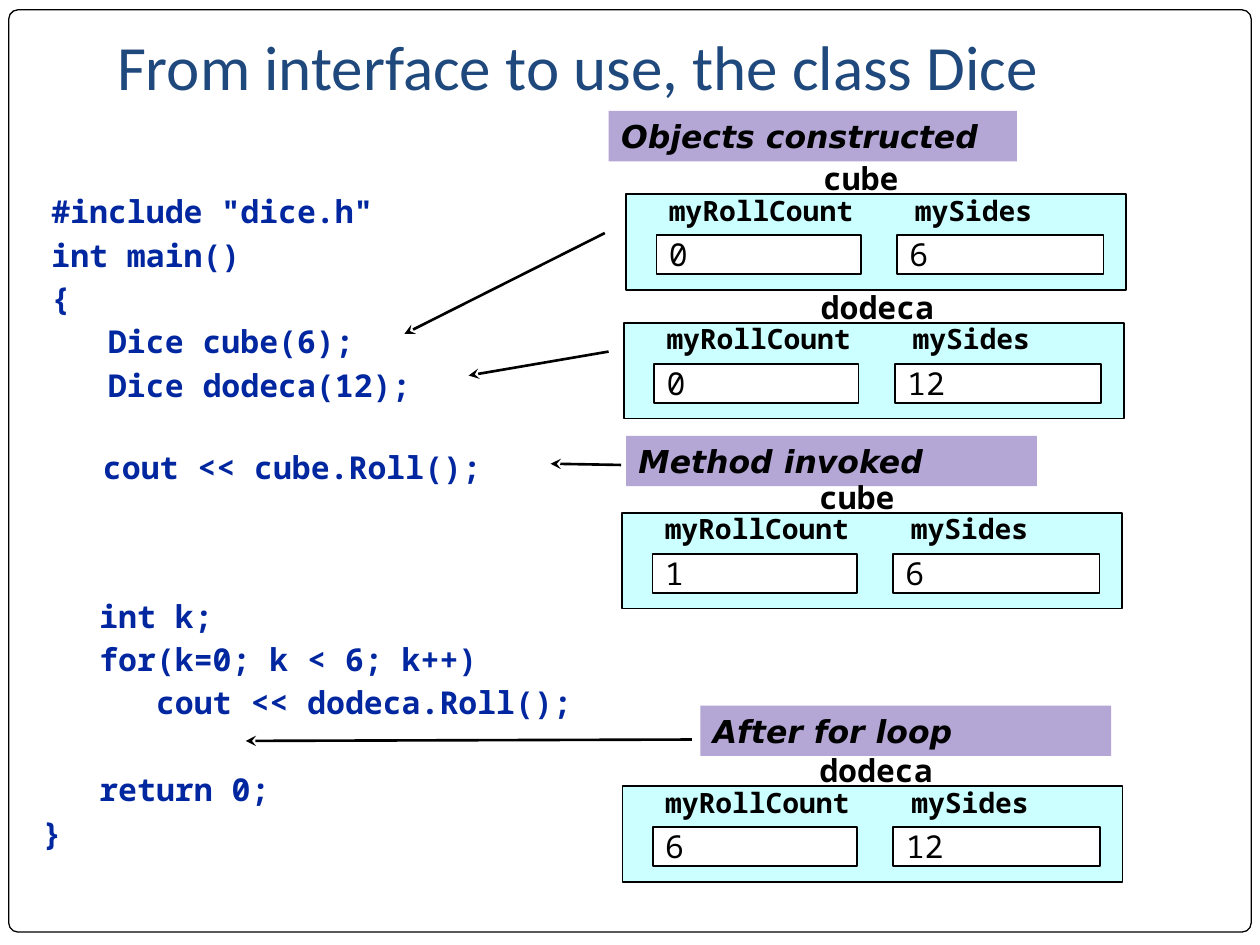
"""Build the slide on using the class Dice."""
from lxml import etree
from pptx import Presentation
from pptx.dml.color import RGBColor
from pptx.enum import shapes, text
from pptx.oxml.ns import qn
from pptx.util import Pt

HUE = {"ink": "000000", "title": "1F497D", "code": "00279F",
       "tag": "B4A7D6", "box": "CCFFFF", "page": "FFFFFF"}
MONO, SANS, HEAD = "Noto Sans Mono", "DejaVu Sans", "Calibri"
CHAR = 10.8
GAP = 24.9

TITLE = "From interface to use, the class Dice"
CODE = [
    ((22.3, 103, 427, 151), [
        (0, 0, '#include "dice.h"'), (0, 0, "int main()"), (0, 0, "{"),
        (3, 0, "Dice cube(6);"), (3, 0, "Dice dodeca(12);")]),
    ((19.4, 249.1, 427, 31), [(3, 0, "cout << cube.Roll();")]),
    ((17.3, 334.1, 427, 183.6), [
        (3, 0, "int k;"), (3, 0, "for(k=0; k < 6; k++)"),
        (6, 0, "cout << dodeca.Roll();"), (3, GAP, "return 0;"), (0, 0, "}")]),
]
STEPS = [
    {"tag": ("Objects constructed", 347.8, 63.4, 233.3),
     "lines": [(345.6, 133.2, 231.1, 190.8), (347.8, 200.9, 267.8, 214.6)],
     "dice": [("cube", 357.8, 110.9, "0", "6"),
              ("dodeca", 356.5, 184.5, "0", "12")]},
    {"tag": ("Method invoked", 357.8, 249.1, 234.7),
     "lines": [(355, 265.7, 314.6, 265)],
     "dice": [("cube", 355.5, 293, "1", "6")]},
    {"tag": ("After for loop", 400.3, 403.2, 234.7),
     "lines": [(395.3, 422.6, 140.4, 423.4)],
     "dice": [("dodeca", 355.7, 449.2, "6", "12")]},
]


def rgb(key):
    return RGBColor.from_string(HUE[key])


def write(shape, rows, size, font, hue="ink", bold=False, ital=False,
          pad=3.6, base=3.6, lead=None, anchor=text.MSO_ANCHOR.TOP):
    frame = shape.text_frame
    frame.word_wrap = True
    frame.vertical_anchor = anchor
    frame.margin_left = frame.margin_right = Pt(7.2)
    frame.margin_top, frame.margin_bottom = Pt(pad), Pt(base)
    for n, (dent, gap, words) in enumerate(rows):
        para = frame.add_paragraph() if n else frame.paragraphs[0]
        para.alignment = text.PP_ALIGN.LEFT
        if lead:
            para.line_spacing = lead
        if gap:
            para.space_before = Pt(gap)
        if dent:
            para._p.get_or_add_pPr().set("marL", str(Pt(dent * CHAR)))
        run = para.add_run()
        run.text = words
        face = run.font
        face.size, face.name = Pt(size), font
        face.bold, face.italic = bold, ital
        face.color.rgb = rgb(hue)


def rect(tree, at, fill, line=None, kind=shapes.MSO_SHAPE.RECTANGLE):
    shape = tree.add_shape(kind, *map(Pt, at))
    shape.shadow.inherit = False
    shape.fill.solid()
    shape.fill.fore_color.rgb = rgb(fill)
    if line:
        shape.line.color.rgb = rgb("ink")
        shape.line.width = Pt(line)
    else:
        shape.line.fill.background()
    return shape


def label(tree, at, rows, size, font, **look):
    write(tree.add_textbox(*map(Pt, at)), rows, size, font, **look)


def arrow(tree, ends):
    line = tree.add_connector(shapes.MSO_CONNECTOR.STRAIGHT, *map(Pt, ends))
    line.line.color.rgb = rgb("ink")
    line.line.width = Pt(1.5)
    etree.SubElement(line.line._get_or_add_ln(), qn("a:tailEnd"), type="stealth")
    etree.SubElement(line._element.spPr, qn("a:effectLst"))


def die(tree, name, x, y, count, sides):
    rect(tree, (x, y, 285.8, 54.7), "box", 1)
    fields = [("myRollCount", count, 17.3, 17.3, 116.8),
              ("mySides", sides, 158, 154.8, 118)]
    for field, value, left, slot, wide in fields:
        cell = rect(tree, (x + slot, y + 23.5, wide, 22.3), "page", 1)
        write(cell, [(0, 0, value)], 18, MONO, pad=0, base=0)
        label(tree, (x + left, y - 4.1, 126.7, 26.6), [(0, 0, field)],
              16, MONO, bold=True)
    label(tree, (x + 105.4, y - 23.4, 107.3, 28.8), [(0, 0, name)],
          18, MONO, bold=True)


def main():
    deck = Presentation()
    deck.slide_width, deck.slide_height = Pt(720), Pt(540)
    slide = deck.slides.add_slide(deck.slide_layouts[6])
    tree = slide.shapes
    frame = rect(tree, (5, 5.6, 710, 527), "page", 0.75,
                 shapes.MSO_SHAPE.ROUNDED_RECTANGLE)
    frame.adjustments[0] = 0.01
    label(tree, (59.8, 18, 612, 48.2), [(0, 0, TITLE)], 36, HEAD,
          hue="title", base=7.2, anchor=text.MSO_ANCHOR.BOTTOM)
    for at, rows in CODE:
        label(tree, at, rows, 18, MONO, hue="code", bold=True, lead=1.15)
    for step in STEPS:
        group = tree.add_group_shape().shapes
        words, x, y, wide = step["tag"]
        tag = rect(group, (x, y, wide, 28.8), "tag")
        write(tag, [(0, 0, words)], 18, SANS, bold=True, ital=True)
        for ends in step["lines"]:
            arrow(group, ends)
        for item in step["dice"]:
            die(group, *item)
    deck.save("out.pptx")


if __name__ == "__main__":
    main()
